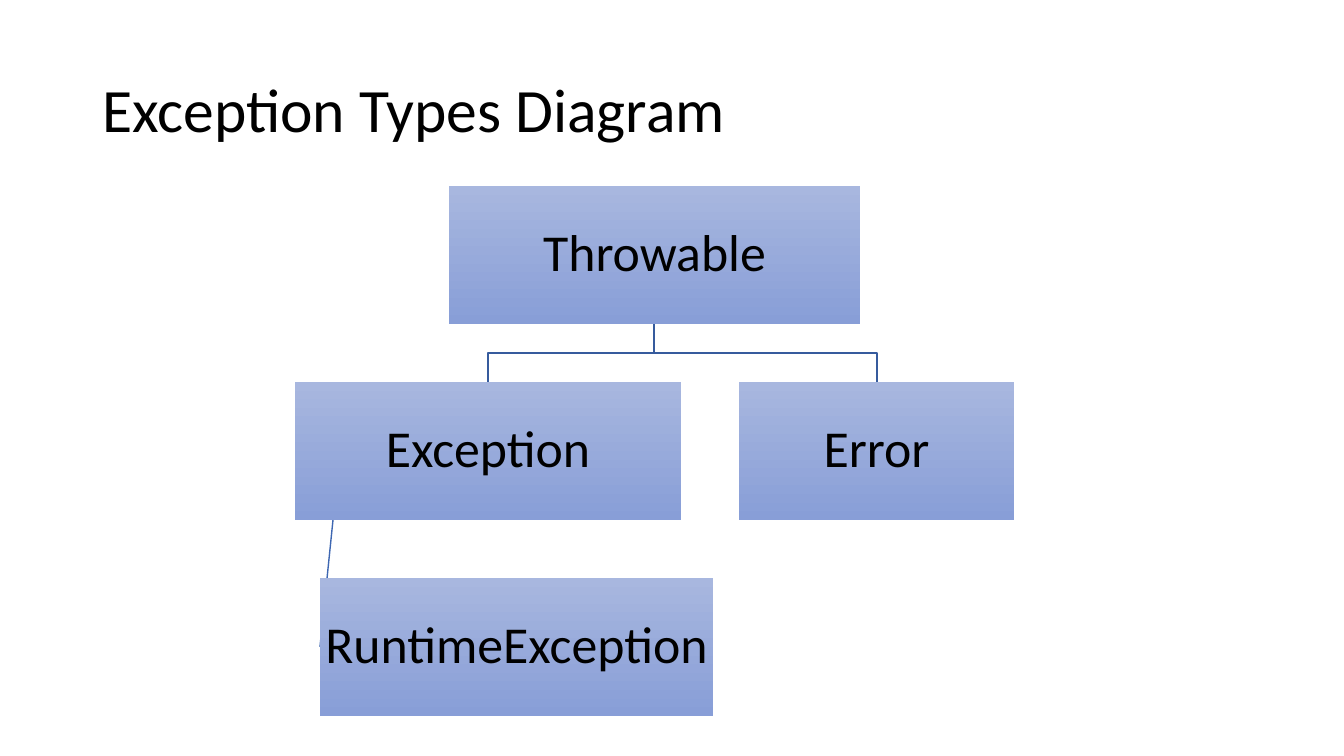
import pptx
import pptx.dml.color
import pptx.enum.shapes
import pptx.enum.text
import pptx.oxml
import pptx.oxml.ns
import pptx.util

EMU_PER_PX = 914400 / 100.8
BOX_HEIGHT = 138
ROOT_TOP, CHILD_TOP, LEAF_TOP = 186, 382, 578


def px(value):
    return pptx.util.Emu(round(value * EMU_PER_PX))


def color(hex_string):
    return pptx.dml.color.RGBColor.from_string(hex_string)


class DiagramSlide:
    font = "Calibri"
    text_color = "000000"
    box_top_color = "A8B7DF"
    box_bottom_color = "889ED7"

    def __init__(self, presentation):
        self.slide = presentation.slides.add_slide(presentation.slide_layouts[5])
        self.shapes = self.slide.shapes

    def fill_text(self, text_frame, text, size, alignment):
        text_frame.word_wrap = True
        text_frame.auto_size = pptx.enum.text.MSO_AUTO_SIZE.NONE
        text_frame.vertical_anchor = pptx.enum.text.MSO_ANCHOR.MIDDLE
        paragraph = text_frame.paragraphs[0]
        paragraph.alignment = alignment
        paragraph.line_spacing = 0.9
        run = paragraph.add_run()
        run.text = text
        run.font.name = self.font
        run.font.size = pptx.util.Pt(size)
        run.font.color.rgb = color(self.text_color)

    def title(self, text, left, top, width, height):
        shape = self.shapes.title
        shape.left, shape.top = px(left), px(top)
        shape.width, shape.height = px(width), px(height)
        self.fill_text(shape.text_frame, text, 44, pptx.enum.text.PP_ALIGN.LEFT)

    def box(self, text, left, top, width):
        shape = self.shapes.add_shape(
            pptx.enum.shapes.MSO_SHAPE.RECTANGLE,
            px(left), px(top), px(width), px(BOX_HEIGHT))
        shape.shadow.inherit = False
        shape.line.fill.background()
        shape.fill.gradient()
        shape.fill.gradient_angle = 270
        first_stop, last_stop = shape.fill.gradient_stops
        first_stop.position, last_stop.position = 0, 1
        first_stop.color.rgb = color(self.box_top_color)
        last_stop.color.rgb = color(self.box_bottom_color)
        frame = shape.text_frame
        frame.margin_left = frame.margin_right = px(3)
        frame.margin_top = frame.margin_bottom = px(3)
        self.fill_text(frame, text, 37, pptx.enum.text.PP_ALIGN.CENTER)
        return shape

    def branch(self, points):
        start, *rest = [(px(x), px(y)) for x, y in points]
        builder = self.shapes.build_freeform(*start)
        builder.add_line_segments(rest, close=False)
        shape = builder.convert_to_shape()
        shape.shadow.inherit = False
        shape.fill.background()
        shape.line.color.rgb = color("365B9D")
        shape.line.width = pptx.util.Pt(1)

    def connector(self, start_x, start_y, end_x, end_y):
        connector = self.shapes.add_connector(
            pptx.enum.shapes.MSO_CONNECTOR.STRAIGHT,
            px(start_x), px(start_y), px(end_x), px(end_y))
        connector.line.color.rgb = color("3E67B2")
        connector.line.width = pptx.util.Pt(1)
        properties = connector._element.spPr
        properties.append(pptx.oxml.parse_xml(
            "<a:effectLst %s/>" % pptx.oxml.ns.nsdecls("a")))
        return connector


def main():
    presentation = pptx.Presentation()
    presentation.slide_width, presentation.slide_height = px(1344), px(756)
    diagram = DiagramSlide(presentation)
    diagram.title("Exception Types Diagram", 92, 40, 1159, 146)

    root_center = 654
    root_bottom = ROOT_TOP + BOX_HEIGHT
    bend = (root_bottom + CHILD_TOP) // 2
    for child_center in (877, 488):
        diagram.branch([(root_center, root_bottom), (root_center, bend),
                        (child_center, bend), (child_center, CHILD_TOP)])
    leaf_link = diagram.connector(
        333, CHILD_TOP + BOX_HEIGHT, 320, LEAF_TOP + BOX_HEIGHT // 2)

    diagram.box("Throwable", 449, ROOT_TOP, 411)
    diagram.box("Exception", 295, CHILD_TOP, 386)
    leaf = diagram.box("RuntimeException", 320, LEAF_TOP, 393)
    diagram.box("Error", 739, CHILD_TOP, 275)
    leaf_link.end_connect(leaf, 1)

    presentation.save("out.pptx")


if __name__ == "__main__":
    main()
